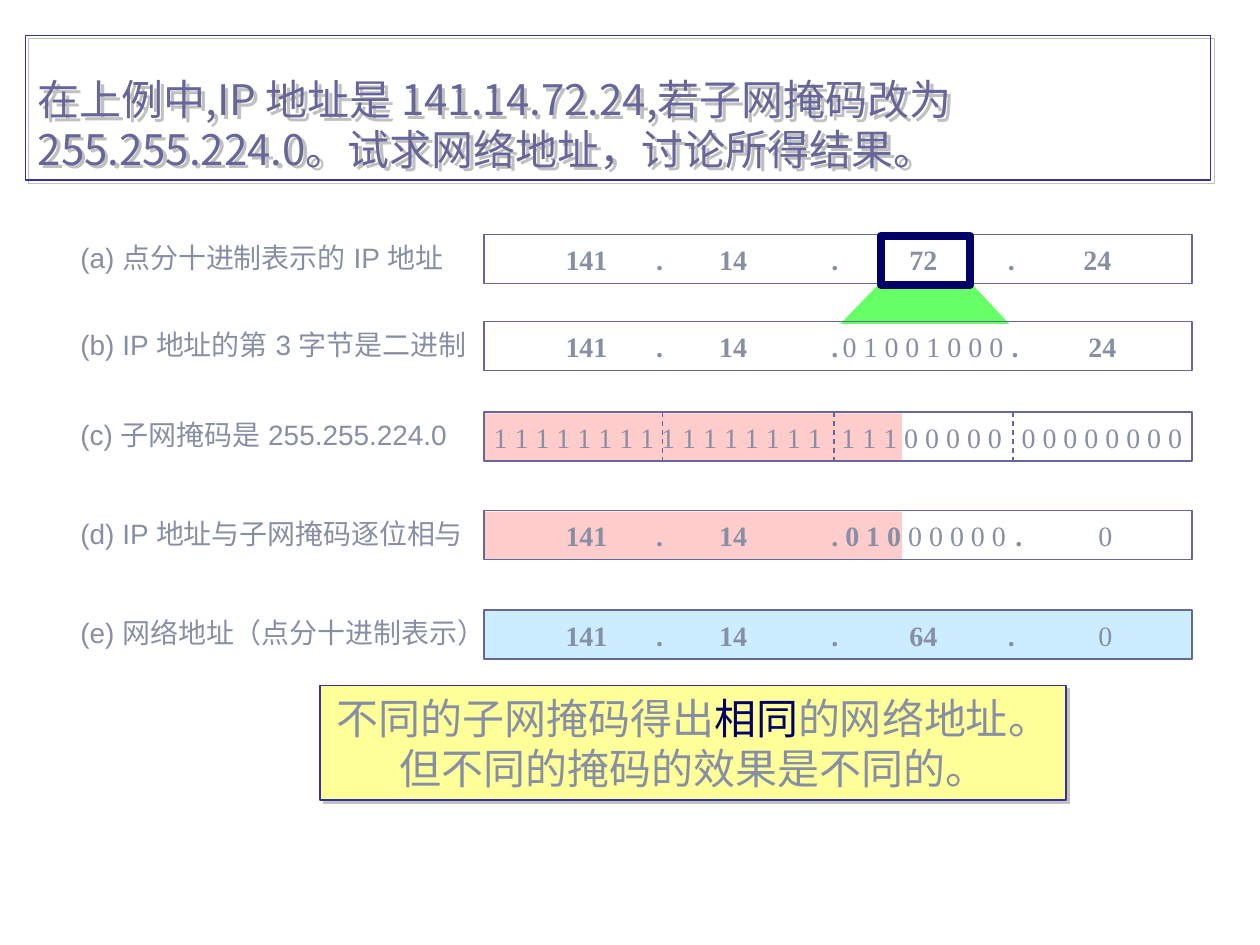
from lxml import etree
from pptx import Presentation
from pptx.dml.color import RGBColor
from pptx.enum.dml import MSO_LINE_DASH_STYLE as Dash
from pptx.enum.shapes import MSO_CONNECTOR as Connector, MSO_SHAPE as Shape
from pptx.enum.text import MSO_ANCHOR as Anchor, PP_ALIGN as Align
from pptx.oxml import parse_xml
from pptx.oxml.ns import nsdecls, qn
from pptx.util import Inches, Pt

GREY, PURPLE, NAVY, BORDER = "878FA5", "666699", "000066", "333399"
PINK, SKY, GREEN, YELLOW, SHADE = "FFCCCC", "CCECFF", "66FF66", "FFFF99", "C0C0C0"
BAR_LEFT, BAR_WIDTH, BAR_HEIGHT = 3.84, 5.62, 0.39
PREFIX_WIDTH = 3.31
OCTET_TABS = (0.72, 1.22, 2.11)

# Content
TITLE = "在上例中,IP 地址是 141.14.72.24,若子网掩码改为255.255.224.0。试求网络地址，讨论所得结果。"
CONCLUSION = [
    [("不同的子网掩码得出", {}), ("相同", {"color": NAVY}), ("的网络地址。", {})],
    [("但不同的掩码的效果是不同的。", {})],
]
BOLD, PLAIN = {"bold": True}, {"bold": False}
PREFIX = ("141\t.\t14\t.", BOLD)
# Each value: left, width, runs, tab stops measured from the text's left edge
ADDRESS = (4.39, 2.5, [PREFIX], OCTET_TABS)
ROWS = [
    {"top": 1.86, "label": "(a) 点分十进制表示的 IP 地址", "label_width": 3.09,
     "values": [ADDRESS, (7.12, 1.9, [("72\t.\t24", BOLD)], (0.78, 1.38))]},
    {"top": 2.55, "label": "(b) IP 地址的第 3 字节是二进制", "label_width": 3.28,
     "values": [ADDRESS, (6.59, 1.6, [("0 1 0 0 1 0 0 0", PLAIN)], ()),
                (7.93, 1.1, [(".\t24", BOLD)], (0.61,))]},
    {"top": 3.27, "label": "(c) 子网掩码是 255.255.224.0", "label_width": 3.11, "prefix": True,
     "values": [(3.82, 4.4, [("1 1 1 1 1 1 1 1 1 1 1 1 1 1 1 1\t1 1 1 0 0 0 0 0", PLAIN)], (2.76,)),
                (8.01, 1.6, [("0 0 0 0 0 0 0 0", PLAIN)], ())]},
    {"top": 4.05, "label": "(d) IP 地址与子网掩码逐位相与", "label_width": 3.25, "prefix": True,
     "values": [(4.39, 3.76, [("141\t.\t14\t. 0 1 0", BOLD), (" 0 0 0 0 0", PLAIN)], OCTET_TABS),
                (7.96, 1.0, [(".\t", BOLD), ("0", PLAIN)], (0.66,))]},
    {"top": 4.84, "label": "(e) 网络地址（点分十进制表示）", "label_width": 3.42, "fill": SKY,
     "values": [ADDRESS, (7.12, 1.9, [("64\t.\t", BOLD), ("0", PLAIN)], (0.78, 1.5))]},
]
OCTET_EDGES = (5.26, 6.62, 8.04)
WEDGE = [(6.99, 2.24), (7.7, 2.24), (8.01, 2.57), (6.67, 2.57)]

prs = Presentation()
prs.slide_width, prs.slide_height = Inches(10), Inches(7.5)
slide = prs.slides.add_slide(prs.slide_layouts[5])
shapes = slide.shapes


def rgb(value):
    return RGBColor.from_string(value)


def write(target, paragraphs, font="Arial", size=16, color=GREY, bold=False,
          align=Align.LEFT, anchor=Anchor.TOP, spacing=None, tabs=()):
    frame = target.text_frame
    frame.word_wrap, frame.vertical_anchor = True, anchor
    for index, runs in enumerate(paragraphs):
        para = frame.add_paragraph() if index else frame.paragraphs[0]
        para.alignment = align
        if spacing:
            para.line_spacing = Pt(spacing)
        if tabs:
            stops = etree.SubElement(para._p.get_or_add_pPr(), qn("a:tabLst"))
            for stop in tabs:
                etree.SubElement(stops, qn("a:tab"), pos=str(Inches(stop)), algn="l")
        for text, style in runs:
            run = para.add_run()
            run.text = text
            run.font.name, run.font.size = font, Pt(size)
            run.font.bold = style.get("bold", bold)
            run.font.color.rgb = rgb(style.get("color", color))
            latin = run.font._element.find(qn("a:latin"))
            latin.addnext(etree.Element(qn("a:ea"), typeface=font))


def paint(target, fill=None, line=None, weight=0.75):
    if fill:
        target.fill.solid()
        target.fill.fore_color.rgb = rgb(fill)
    else:
        target.fill.background()
    if line:
        target.line.color.rgb = rgb(line)
        target.line.width = Pt(weight)
    else:
        target.line.fill.background()


def box(left, top, width, height, **style):
    rect = shapes.add_shape(Shape.RECTANGLE, *map(Inches, (left, top, width, height)))
    rect.shadow.inherit = False
    paint(rect, **style)
    return rect


def textbox(left, top, width, paragraphs, **style):
    area = shapes.add_textbox(*map(Inches, (left, top, width, 0.37)))
    write(area, paragraphs, **style)


def cast_shadow(target):
    target.shadow.inherit = False
    effects = target._element.spPr.find(qn("a:effectLst"))
    effects.append(parse_xml(
        f'<a:outerShdw {nsdecls("a")} blurRad="0" dist="{Pt(2.8)}" dir="2700000" '
        f'algn="ctr" rotWithShape="0"><a:srgbClr val="{SHADE}"/></a:outerShdw>'))


# Title
title = shapes.title
title.left, title.top, title.width, title.height = map(Inches, (0.2, 0.28, 9.41, 1.15))
paint(title, line=BORDER)
cast_shadow(title)
write(title, [[(TITLE, {})]], font="Noto Sans CJK SC", size=24, color=PURPLE,
      anchor=Anchor.BOTTOM, spacing=28.5)

# Wedge from the third octet to its bits
builder = shapes.build_freeform(*map(Inches, WEDGE[0]), scale=1.0)
builder.add_line_segments([tuple(map(Inches, point)) for point in WEDGE[1:]], close=True)
wedge = builder.convert_to_shape()
wedge.shadow.inherit = False
paint(wedge, fill=GREEN)

# Rows: label, bar and values
for row in ROWS:
    top = row["top"]
    if row.get("prefix"):
        box(BAR_LEFT + 0.01, top + 0.01, PREFIX_WIDTH, 0.38, fill=PINK)
    box(BAR_LEFT, top, BAR_WIDTH, BAR_HEIGHT, fill=row.get("fill"), line=PURPLE)
    textbox(0.54, top, row["label_width"], [[(row["label"], {})]], spacing=19)
    for left, width, runs, tabs in row["values"]:
        textbox(left, top + 0.02, width, [runs], font="Times New Roman", tabs=tabs)

# Octet dividers in the mask row
mask_top = ROWS[2]["top"]
for edge in OCTET_EDGES:
    divider = shapes.add_connector(Connector.STRAIGHT, Inches(edge), Inches(mask_top),
                                   Inches(edge), Inches(mask_top + BAR_HEIGHT))
    divider.line.color.rgb = rgb(PURPLE)
    divider.line.width = Pt(0.75)
    divider.line.dash_style = Dash.DASH
    etree.SubElement(divider._element.spPr, qn("a:effectLst"))

# Highlighted third octet
box(6.99, 1.87, 0.71, BAR_HEIGHT, line=NAVY, weight=4.5)

# Conclusion
conclusion = box(2.54, 5.44, 5.92, 0.91, fill=YELLOW, line=BORDER)
cast_shadow(conclusion)
write(conclusion, CONCLUSION, font="Open Sans", size=24, align=Align.CENTER, spacing=29)

prs.save("out.pptx")
